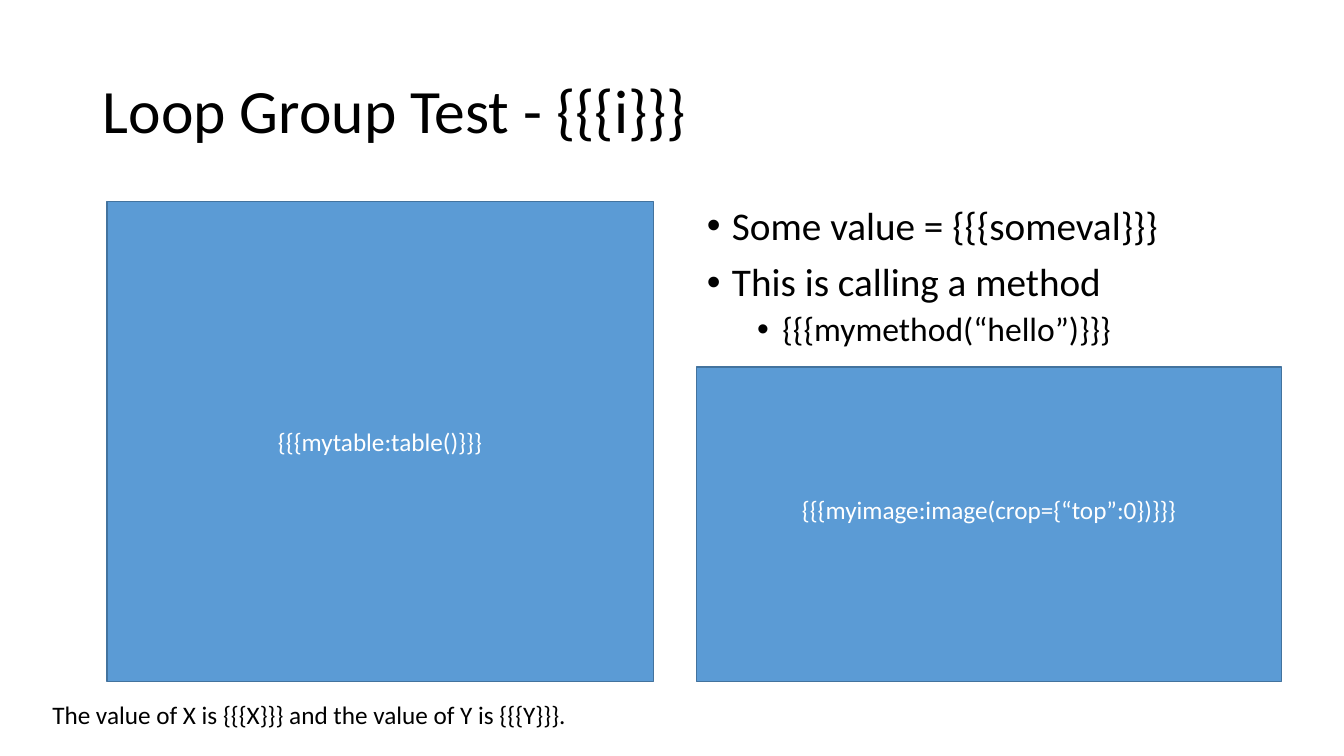
from lxml import etree
from pptx import Presentation
from pptx.dml.color import RGBColor
from pptx.enum import shapes, text
from pptx.oxml import ns
from pptx.util import Pt

PX = 9144  # 100 px to the inch
BLACK = RGBColor(0x00, 0x00, 0x00)
WHITE = RGBColor(0xFF, 0xFF, 0xFF)
BLUE = RGBColor(0x5B, 0x9B, 0xD5)
DARK_BLUE = RGBColor(0x43, 0x73, 0x9E)
LEFT, CENTER = text.PP_ALIGN.LEFT, text.PP_ALIGN.CENTER
TOP, MIDDLE = text.MSO_ANCHOR.TOP, text.MSO_ANCHOR.MIDDLE


def place(box, *lengths):
    for name, length in zip(("left", "top", "width", "height"), lengths):
        setattr(box, name, length * PX)


def write(para, words, size, color, **layout):
    span = para.add_run()
    span.text = words
    span.font.color.rgb = color
    for name, value in {"name": "Calibri", "size": Pt(size)}.items():
        setattr(span.font, name, value)
    for name, value in layout.items():
        setattr(para, name, value)


deck = Presentation()
deck.slide_width, deck.slide_height = 1333 * PX, 750 * PX
page = deck.slides.add_slide(deck.slide_layouts[1])

# Title and list
title, body = page.placeholders
place(title, 92, 40, 1150, 145)
place(body, 691, 200, 551, 476)
for box, anchor in ((title, MIDDLE), (body, TOP)):
    box.text_frame.vertical_anchor = anchor
    box.text_frame.auto_size = text.MSO_AUTO_SIZE.NONE
write(title.text_frame.paragraphs[0], "Loop Group Test - {{{i}}}", 44, BLACK,
      alignment=LEFT, line_spacing=0.9)

bullets = [
    ("Some value = {{{someval}}}", 0),
    ("This is calling a method", 0),
    ("{{{mymethod(“hello”)}}}", 1),
]
for index, (words, level) in enumerate(bullets):
    frame = body.text_frame
    para = frame.add_paragraph() if index else frame.paragraphs[0]
    write(para, words, 28 - 4 * level, BLACK, level=level,
          line_spacing=0.9, space_before=Pt(10 - 5 * level))
    properties = para._p.get_or_add_pPr()
    properties.set("marL", str((25 + 50 * level) * PX))
    properties.set("indent", str(-25 * PX))
    etree.SubElement(properties, ns.qn("a:buFont"), typeface="Arial")
    etree.SubElement(properties, ns.qn("a:buChar"), char="•")

# Table and image areas; the bottom inset lifts the image label
areas = [
    ("{{{mytable:table()}}}", (106, 200, 542, 476), 5),
    ("{{{myimage:image(crop={“top”:0})}}}", (691, 364, 580, 312), 35),
]
for words, bounds, bottom_inset in areas:
    area = page.shapes.add_shape(shapes.MSO_SHAPE.RECTANGLE, 0, 0, 0, 0)
    place(area, *bounds)
    area.shadow.inherit = False
    area.fill.solid()
    area.fill.fore_color.rgb = BLUE
    area.line.color.rgb = DARK_BLUE
    area.line.width = Pt(1)
    area.text_frame.vertical_anchor = MIDDLE
    area.text_frame.margin_bottom = bottom_inset * PX
    write(area.text_frame.paragraphs[0], words, 18, WHITE, alignment=CENTER)

# Closing line
closing = page.shapes.add_textbox(0, 0, 0, 0)
place(closing, 42, 689, 1179, 40)
closing.text_frame.word_wrap = True
closing.text_frame.auto_size = text.MSO_AUTO_SIZE.SHAPE_TO_FIT_TEXT
write(closing.text_frame.paragraphs[0],
      "The value of X is {{{X}}} and the value of Y is {{{Y}}}.", 18, BLACK)

deck.save("out.pptx")
